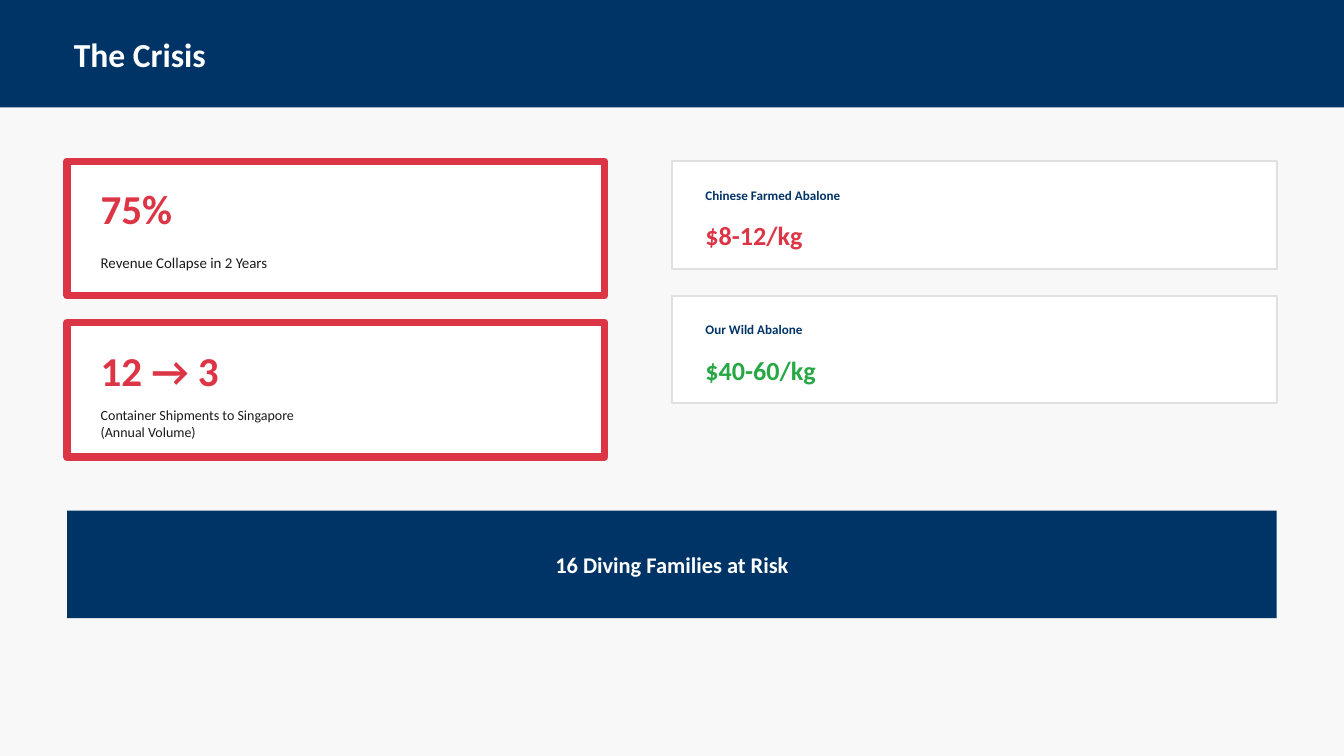
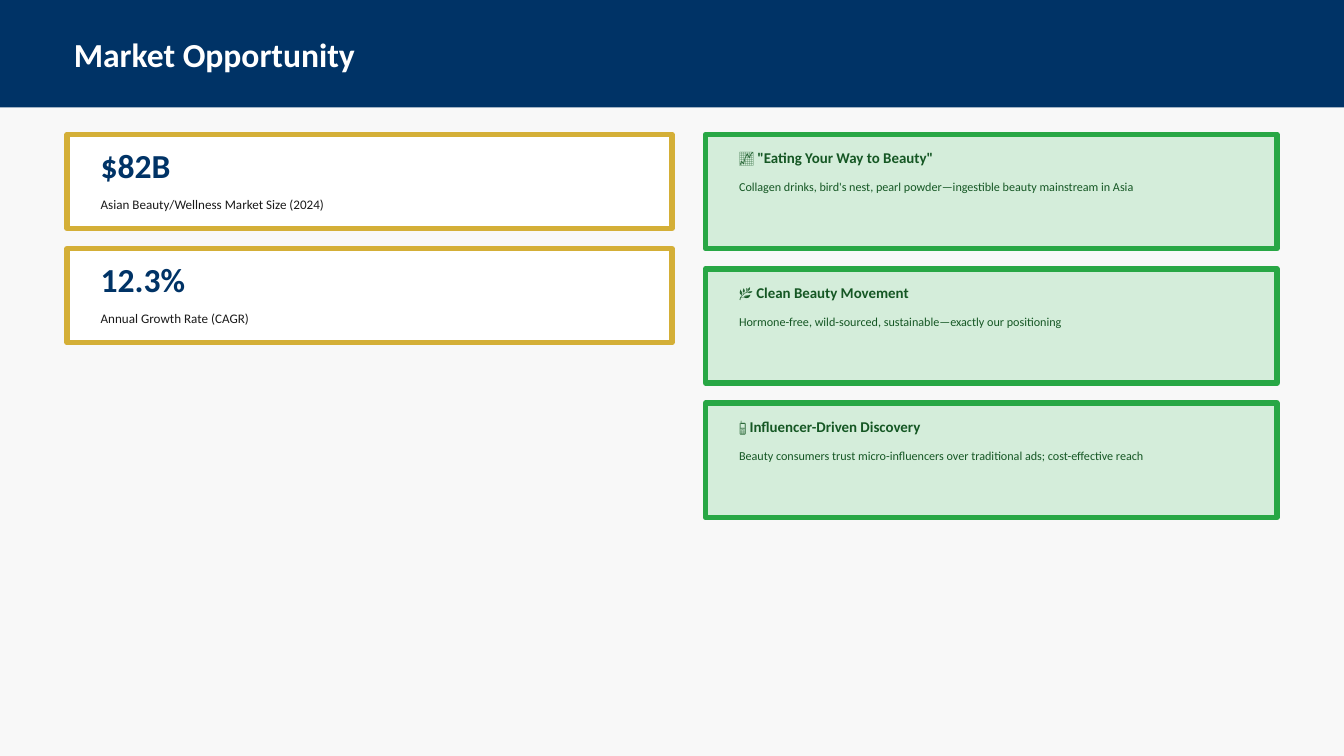
from dataclasses import dataclass, replace

from pptx import Presentation
from pptx.dml.color import RGBColor
from pptx.enum.shapes import MSO_SHAPE
from pptx.enum.text import MSO_ANCHOR, PP_ALIGN
from pptx.slide import Slide
from pptx.util import Pt

EMU_PER_PX = 9144  # 100 px to the inch
SLIDE_W, SLIDE_H = 2000, 1125
MARGIN = 100
CARD_PAD = 40
FONT = "Calibri"
COLORS = {
    "page": "F8F8F8",
    "navy": "003366",
    "white": "FFFFFF",
    "ink": "1A1A1A",
    "red": "DC3545",
    "green": "28A745",
    "gold": "D4AF37",
    "grey": "E0E0E0",
    "mint": "D4EDDA",
    "forest": "155724",
}


@dataclass(frozen=True)
class Label:
    """Text style, with its offset from the card top and its height."""
    dy: int
    height: int
    size: int
    color: str
    bold: bool = False
    align: PP_ALIGN = PP_ALIGN.LEFT


@dataclass(frozen=True)
class CardStyle:
    width: int
    height: int
    fill: str
    line: str
    weight: int
    head: Label
    body: Label


@dataclass(frozen=True)
class Card:
    head: str
    body: str
    style: CardStyle


# Shared styles
TITLE = Label(40, 80, 36, "white", True)
BANNER = Label(20, 120, 24, "white", True, PP_ALIGN.CENTER)
LOSS = CardStyle(800, 200, "white", "red", 8,
                 Label(20, 100, 44, "red", True), Label(120, 60, 16, "ink"))
LOSS_SMALL = replace(LOSS, body=replace(LOSS.body, size=15))
LOW_PRICE = CardStyle(900, 160, "white", "grey", 2,
                      Label(20, 60, 14, "navy", True), Label(80, 60, 28, "red", True))
HIGH_PRICE = replace(LOW_PRICE, body=replace(LOW_PRICE.body, color="green"))
MARKET = CardStyle(900, 140, "white", "gold", 6,
                   Label(10, 70, 36, "navy", True), Label(84, 40, 14, "ink"))
TREND = CardStyle(850, 170, "mint", "green", 6,
                  Label(10, 50, 16, "forest", True), Label(38, 80, 13, "forest"))


def px(n: int) -> int:
    return n * EMU_PER_PX


def rgb(name: str) -> RGBColor:
    return RGBColor.from_string(COLORS[name])


def add_rect(s: Slide, x: int, y: int, w: int, h: int, fill: str,
             line: str | None = None, weight: int = 0) -> None:
    sp = s.shapes.add_shape(MSO_SHAPE.RECTANGLE, px(x), px(y), px(w), px(h))
    sp.shadow.inherit = False
    sp.fill.solid()
    sp.fill.fore_color.rgb = rgb(fill)
    if line:
        sp.line.color.rgb = rgb(line)
        sp.line.width = Pt(weight)
    else:
        sp.line.fill.background()


def add_label(s: Slide, text: str, x: int, top: int, w: int, label: Label) -> None:
    sp = s.shapes.add_textbox(px(x), px(top + label.dy), px(w), px(label.height))
    tf = sp.text_frame
    tf.word_wrap = True
    tf.vertical_anchor = MSO_ANCHOR.MIDDLE
    for i, line in enumerate(text.split("\n")):
        p = tf.add_paragraph() if i else tf.paragraphs[0]
        p.alignment = label.align
        r = p.add_run()
        r.text = line
        r.font.name = FONT
        r.font.size = Pt(label.size)
        r.font.bold = label.bold
        r.font.color.rgb = rgb(label.color)


def add_stack(s: Slide, x: int, y: int, gap: int, cards: list[Card]) -> None:
    for card in cards:
        st = card.style
        add_rect(s, x, y, st.width, st.height, st.fill, st.line, st.weight)
        for text, label in ((card.head, st.head), (card.body, st.body)):
            add_label(s, text, x + CARD_PAD, y, st.width - 2 * CARD_PAD, label)
        y += st.height + gap


def add_page(prs: Presentation, title: str) -> Slide:
    s = prs.slides.add_slide(prs.slide_layouts[6])
    s.background.fill.solid()
    s.background.fill.fore_color.rgb = rgb("page")
    add_rect(s, 0, 0, SLIDE_W, 160, "navy")
    add_label(s, title, MARGIN, 0, SLIDE_W - 2 * MARGIN, TITLE)
    return s


def build_crisis(prs: Presentation) -> None:
    s = add_page(prs, "The Crisis")
    # Losses on the left, prices on the right
    add_stack(s, MARGIN, 240, 40, [
        Card("75%", "Revenue Collapse in 2 Years", LOSS),
        Card("12 → 3", "Container Shipments to Singapore\n(Annual Volume)", LOSS_SMALL),
    ])
    add_stack(s, 1000, 240, 40, [
        Card("Chinese Farmed Abalone", "$8-12/kg", LOW_PRICE),
        Card("Our Wild Abalone", "$40-60/kg", HIGH_PRICE),
    ])
    # Closing banner
    width = SLIDE_W - 2 * MARGIN
    add_rect(s, MARGIN, 760, width, 160, "navy")
    add_label(s, "16 Diving Families at Risk", MARGIN, 760, width, BANNER)


def build_market(prs: Presentation) -> None:
    s = add_page(prs, "Market Opportunity")
    # Market figures on the left, trends on the right
    add_stack(s, MARGIN, 200, 30, [
        Card("$82B", "Asian Beauty/Wellness Market Size (2024)", MARKET),
        Card("12.3%", "Annual Growth Rate (CAGR)", MARKET),
    ])
    add_stack(s, 1050, 200, 30, [
        Card('📈 "Eating Your Way to Beauty"',
             "Collagen drinks, bird's nest, pearl powder—ingestible beauty "
             "mainstream in Asia", TREND),
        Card("🌿 Clean Beauty Movement",
             "Hormone-free, wild-sourced, sustainable—exactly our positioning", TREND),
        Card("📱 Influencer-Driven Discovery",
             "Beauty consumers trust micro-influencers over traditional ads; "
             "cost-effective reach", TREND),
    ])


def main() -> None:
    prs = Presentation()
    prs.slide_width, prs.slide_height = px(SLIDE_W), px(SLIDE_H)
    build_crisis(prs)
    build_market(prs)
    prs.save("out.pptx")


if __name__ == "__main__":
    main()
